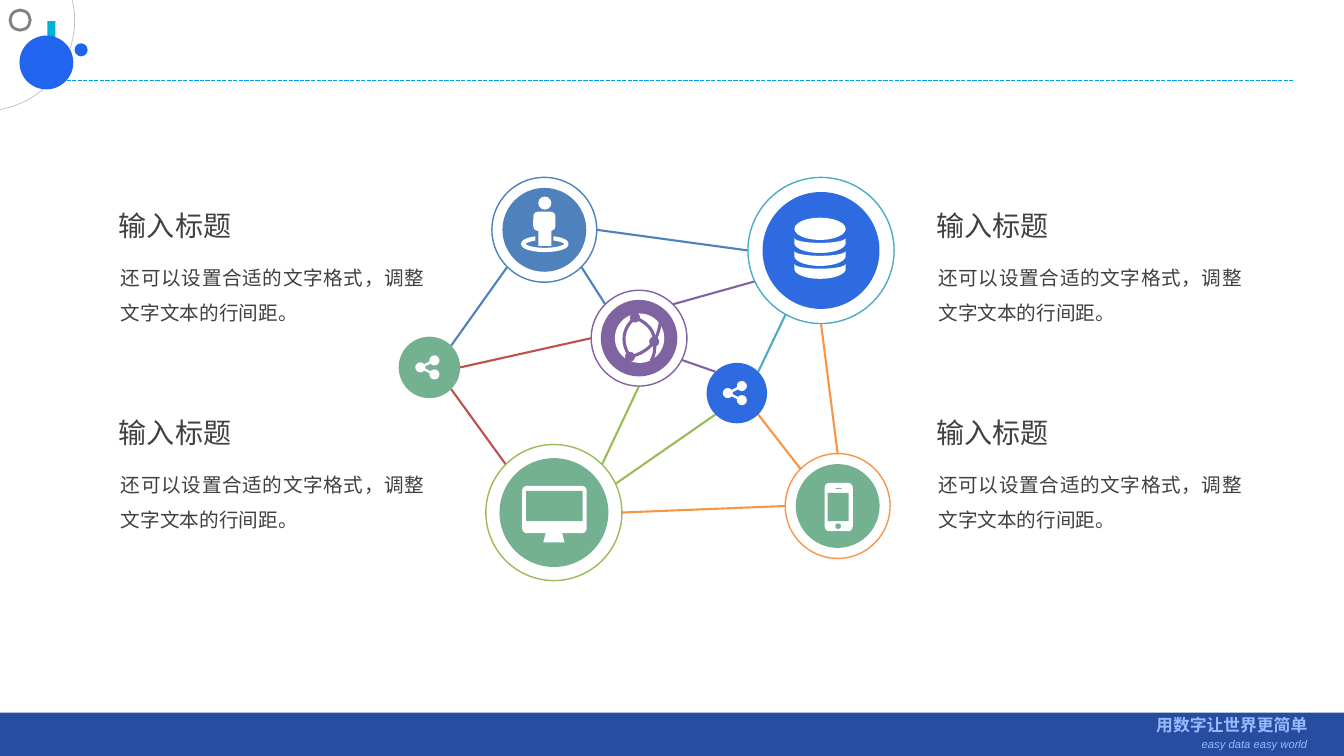
from dataclasses import dataclass
from math import cos, pi, radians, sin
from typing import Optional

from lxml.etree import SubElement
from pptx import Presentation
from pptx.dml.color import RGBColor
from pptx.enum.dml import MSO_LINE
from pptx.enum.shapes import MSO_CONNECTOR, MSO_SHAPE
from pptx.enum.text import PP_ALIGN
from pptx.oxml.ns import qn
from pptx.util import Emu, Inches, Pt

WHITE = RGBColor(0xFF, 0xFF, 0xFF)
INK = RGBColor(0x40, 0x40, 0x40)
GREY = RGBColor(0x80, 0x80, 0x80)
SILVER = RGBColor(0xBF, 0xBF, 0xBF)
TEAL = RGBColor(0x00, 0xB1, 0xD4)
SKY = RGBColor(0x00, 0x9E, 0xE7)
BRIGHT = RGBColor(0x21, 0x64, 0xED)
NAVY = RGBColor(0x27, 0x4D, 0xA1)
PALE = RGBColor(0x98, 0xBA, 0xFF)
ROYAL = RGBColor(0x2E, 0x6A, 0xE0)
STEEL = RGBColor(0x4F, 0x81, 0xBD)
SAGE = RGBColor(0x74, 0xB1, 0x91)
LIME = RGBColor(0x9B, 0xBB, 0x59)
PURPLE = RGBColor(0x80, 0x64, 0xA2)
AQUA = RGBColor(0x4B, 0xAC, 0xC6)
ORANGE = RGBColor(0xF7, 0x96, 0x46)
RED = RGBColor(0xC0, 0x50, 0x4D)
CJK = "Noto Sans CJK SC"

# Grid of 133.33 columns by 75 rows
COLS, ROWS = 133.33, 75
deck = Presentation()
deck.slide_width, deck.slide_height = Inches(13.33), Inches(7.5)
COL, ROW = deck.slide_width / COLS, deck.slide_height / ROWS
shapes = deck.slides.add_slide(deck.slide_layouts[6]).shapes

OVAL, RECT, ROUND = MSO_SHAPE.OVAL, MSO_SHAPE.RECTANGLE, MSO_SHAPE.ROUNDED_RECTANGLE
Point = tuple[float, float]


@dataclass
class Node:
    x: float
    y: float
    r: float
    fill: RGBColor
    ring: Optional[RGBColor] = None

    def rim(self, angle: float) -> Point:
        turn = radians(angle)
        return self.x + self.r * cos(turn), self.y + self.r * sin(turn)


@dataclass
class Link:
    start: str
    leave: float
    end: str
    reach: float
    color: RGBColor


def spot(x: float, y: float) -> tuple[Emu, Emu]:
    return Emu(round(x * COL)), Emu(round(y * ROW))


def paint(shape, fill: Optional[RGBColor], line: Optional[RGBColor], width: float):
    shape.shadow.inherit = False
    if fill is None:
        shape.fill.background()
    else:
        shape.fill.solid()
        shape.fill.fore_color.rgb = fill
    if line is None:
        shape.line.fill.background()
    else:
        shape.line.color.rgb = line
        shape.line.width = Pt(width)
    return shape


def draw(kind, x: float, y: float, w: float, h: float, fill: Optional[RGBColor] = None,
         line: Optional[RGBColor] = None, width: float = 1):
    return paint(shapes.add_shape(kind, *spot(x, y), *spot(w, h)), fill, line, width)


def disc(x: float, y: float, r: float, fill: Optional[RGBColor] = None,
         line: Optional[RGBColor] = None, width: float = 1):
    return draw(OVAL, x - r, y - r, 2 * r, 2 * r, fill, line, width)


def trace(points: list[Point], fill: Optional[RGBColor] = None,
          line: Optional[RGBColor] = None, width: float = 1):
    first, *rest = [spot(*p) for p in points]
    pen = shapes.build_freeform(*first, scale=1.0)
    pen.add_line_segments(rest, close=fill is not None)
    return paint(pen.convert_to_shape(), fill, line, width)


def join(start: Point, end: Point, color: RGBColor, width: float):
    wire = shapes.add_connector(MSO_CONNECTOR.STRAIGHT, *spot(*start), *spot(*end))
    wire.line.color.rgb = color
    wire.line.width = Pt(width)
    SubElement(wire._element.spPr, qn("a:effectLst"))
    return wire


def style(para, size: float, color: RGBColor, face: str, align) -> None:
    para.alignment = align
    for run in para.runs:
        run.font.size, run.font.name = Pt(size), face
        run.font.color.rgb = color
        if face == CJK:
            SubElement(run.font._element, qn("a:ea")).set("typeface", face)


def write(text: str, x: float, y: float, w: float, h: float):
    frame = shapes.add_textbox(*spot(x, y), *spot(w, h)).text_frame
    frame.word_wrap = True
    frame.margin_left = frame.margin_right = frame.margin_top = frame.margin_bottom = 0
    frame.text = text
    return frame.paragraphs


# Corner motif and header rule
draw(RECT, 4.7, 2.1, 0.8, 5.9, TEAL)
join((5.5, 8), (128.3, 8), SKY, 1).line.dash_style = MSO_LINE.SQUARE_DOT
arc = draw(MSO_SHAPE.ARC, -10.5, -6.9, 17.9, 17.9, None, SILVER, 0.5)
arc.adjustments[0], arc.adjustments[1] = 207.72, 48.6
disc(4.6, 6.2, 2.6, BRIGHT, BRIGHT)
disc(8.05, 4.95, 0.65, BRIGHT)
disc(2, 2, 1, None, GREY, 2)

# Footer band
draw(RECT, 0, 70.7, COLS, 4.4, NAVY)
motto, tag = write("用数字让世界更简单\neasy data easy world", 113.6, 70.9, 16.8, 4)
style(motto, 12, PALE, "Arial", PP_ALIGN.RIGHT)
style(tag, 8, PALE, "Arial", PP_ALIGN.RIGHT)
motto.font.bold = motto.runs[0].font.bold = True
motto._p.get_or_add_pPr().set("marR", str(Pt(5)))
tag.runs[0].font.italic = True
tag.space_before = Pt(2)

# Network
nodes = {
    "user": Node(54, 22.8, 5.2, STEEL, STEEL),
    "data": Node(81.45, 24.85, 7.25, ROYAL, AQUA),
    "globe": Node(63.4, 33.55, 4.75, PURPLE, PURPLE),
    "screen": Node(54.95, 50.85, 6.75, SAGE, LIME),
    "phone": Node(83.1, 50.2, 5.2, SAGE, ORANGE),
    "west": Node(42.6, 36.45, 3.05, SAGE),
    "east": Node(73.1, 39, 3, ROYAL),
}
links = [
    Link("west", 45, "screen", 225, RED),
    Link("user", 135, "west", 315, STEEL),
    Link("west", 0, "globe", 180, RED),
    Link("user", 45, "globe", 225, STEEL),
    Link("user", 0, "data", 180, STEEL),
    Link("data", 155, "globe", 315, PURPLE),
    Link("data", 90, "phone", 270, ORANGE),
    Link("phone", 180, "screen", 0, ORANGE),
    Link("globe", 27, "east", 225, PURPLE),
    Link("globe", 90, "screen", 315, LIME),
    Link("east", 315, "data", 119, AQUA),
    Link("east", 45, "phone", 225, ORANGE),
    Link("east", 135, "screen", 335, LIME),
]
for link in links:
    join(nodes[link.start].rim(link.leave), nodes[link.end].rim(link.reach), link.color, 1.5)
for node in nodes.values():
    if node.ring:
        disc(node.x, node.y, node.r, None, node.ring)
    disc(node.x, node.y, node.r * (0.8 if node.ring else 1), node.fill)

# Share icons
for name in ("west", "east"):
    x, y = nodes[name].x - 0.9, nodes[name].y
    disc(x, y, 0.5, WHITE)
    for dy in (-0.7, 0.7):
        join((x, y), (x + 1.4, y + dy), WHITE, 1.75)
        disc(x + 1.4, y + dy, 0.5, WHITE)

# Person icon
draw(OVAL, 51.9, 23.6, 4.3, 1.2, None, WHITE, 3)
draw(RECT, 53.1, 23, 1.8, 1, STEEL)
draw(RECT, 53.4, 22, 1.3, 2.4, WHITE)
draw(ROUND, 52.9, 21, 2.2, 1.9, WHITE).adjustments[0] = 0.25
disc(54.05, 20.15, 0.65, WHITE)

# Database icon
draw(OVAL, 78.8, 21.6, 5.1, 2.2, WHITE)
turns = [pi * step / 24 for step in range(25)]
for band in range(3):
    top = 23.6 + 1.28 * band
    upper = [(81.35 - 2.55 * cos(t), top + 0.5 * sin(t)) for t in turns]
    lower = [(81.35 + 2.55 * cos(t), top + 0.5 + sin(t)) for t in turns]
    trace(upper + lower, WHITE)

# Globe icon
disc(63.45, 33.55, 2.45, WHITE)
curves: list[tuple[Point, Point, Point]] = [
    ((63, 31.5), (65, 32.4), (64.9, 33.9)),
    ((63, 31.5), (61.1, 33.2), (62.5, 35.4)),
    ((62.5, 35.4), (64.1, 35), (64.9, 33.9)),
    ((64.9, 33.9), (65.4, 32.9), (65.5, 32)),
    ((64.9, 33.9), (65.1, 34.9), (64.6, 35.8)),
]
for a, b, c in curves:
    steps = [n / 12 for n in range(13)]
    trace([tuple((1 - t) ** 2 * p + 2 * t * (1 - t) * q + t * t * s
                 for p, q, s in zip(a, b, c)) for t in steps], None, PURPLE, 2.25)
for x, y in ((63, 31.5), (62.5, 35.4), (64.9, 33.9)):
    disc(x, y, 0.5, PURPLE)

# Monitor icon
draw(ROUND, 51.8, 48.2, 6.4, 4.7, WHITE).adjustments[0] = 0.1
draw(ROUND, 52.2, 48.7, 5.6, 3, SAGE).adjustments[0] = 0.03
draw(MSO_SHAPE.TRAPEZOID, 53.9, 52.8, 2.1, 1, WHITE)

# Phone icon
draw(ROUND, 81.8, 47.9, 2.8, 4.8, WHITE).adjustments[0] = 0.17
draw(RECT, 82.1, 48.9, 2.1, 2.8, SAGE)
draw(RECT, 82.9, 48.4, 0.6, 0.12, SAGE)
disc(83.15, 52.2, 0.28, SAGE)

# Captions
for x in (11.8, 92.9):
    for y in (20.7, 41.25):
        head = write("输入标题", x, y, 19.7, 3.4)[0]
        style(head, 20, INK, CJK, PP_ALIGN.JUSTIFY)
        body = write("还可以设置合适的文字格式，调整文字文本的行间距。", x + 0.2, y + 4.5, 30.1, 6.7)[0]
        style(body, 14, INK, CJK, PP_ALIGN.JUSTIFY)
        body.line_spacing = 1.5

deck.save("out.pptx")
